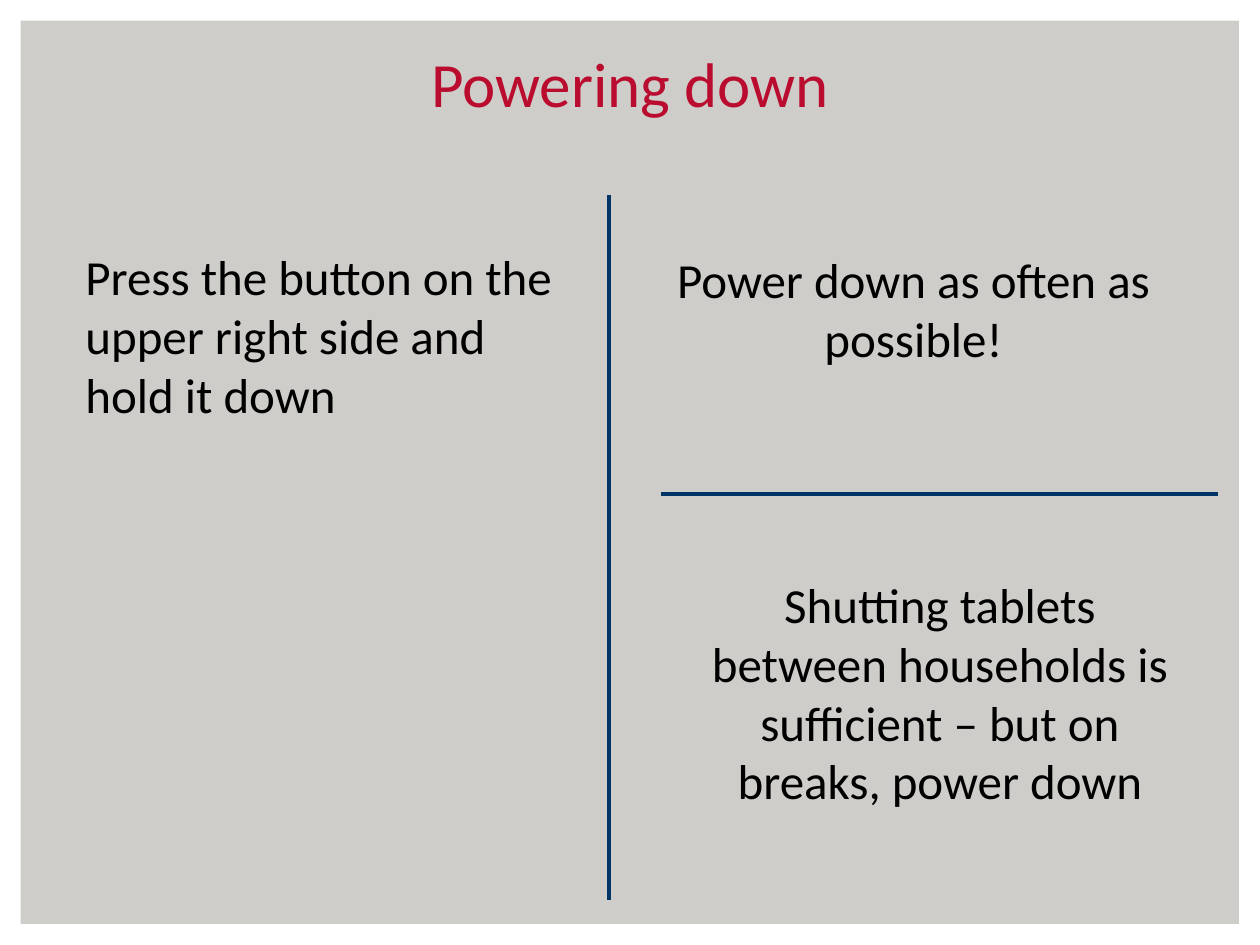
from dataclasses import dataclass

from lxml.etree import SubElement
from pptx import Presentation
from pptx.dml.color import RGBColor
from pptx.enum.shapes import MSO_CONNECTOR, MSO_SHAPE
from pptx.enum.text import MSO_ANCHOR, PP_ALIGN
from pptx.oxml.ns import qn
from pptx.util import Inches, Pt


@dataclass(frozen=True)
class Theme:
    font: str = "Calibri"
    background: RGBColor = RGBColor(0xCF, 0xCD, 0xC9)
    border: RGBColor = RGBColor(0xFF, 0xFF, 0xFF)
    title: RGBColor = RGBColor(0xBA, 0x0C, 0x2F)
    body: RGBColor = RGBColor(0x00, 0x00, 0x00)
    divider: RGBColor = RGBColor(0x00, 0x33, 0x66)
    title_size: Pt = Pt(36)
    body_size: Pt = Pt(28)
    divider_width: Pt = Pt(2.25)


class SlideBuilder:
    """Draws themed elements on the current slide."""

    def __init__(self, presentation, theme):
        self.theme = theme
        self.slide = presentation.slides.add_slide(presentation.slide_layouts[6])
        fill = self.slide.background.fill
        fill.solid()
        fill.fore_color.rgb = theme.background

    def frame(self, width, height, thickness):
        shape = self.slide.shapes.add_shape(MSO_SHAPE.FRAME, 0, 0, width, height)
        shape.adjustments[0] = thickness
        shape.shadow.inherit = False
        shape.fill.solid()
        shape.fill.fore_color.rgb = self.theme.border
        shape.line.fill.background()

    def text(self, text, box, size, color, align=PP_ALIGN.CENTER, anchor=MSO_ANCHOR.TOP):
        shape = self.slide.shapes.add_textbox(*map(Inches, box))
        text_frame = shape.text_frame
        text_frame.word_wrap = True
        text_frame.vertical_anchor = anchor
        paragraph = text_frame.paragraphs[0]
        paragraph.text = text
        paragraph.alignment = align
        font = paragraph.runs[0].font
        for name, value in {"name": self.theme.font, "size": size}.items():
            setattr(font, name, value)
        font.color.rgb = color

    def title(self, text, box):
        self.text(text, box, self.theme.title_size, self.theme.title, anchor=MSO_ANCHOR.BOTTOM)

    def body(self, text, box, align=PP_ALIGN.CENTER):
        self.text(text, box, self.theme.body_size, self.theme.body, align)

    def divider(self, start, end):
        connector = self.slide.shapes.add_connector(
            MSO_CONNECTOR.STRAIGHT, *map(Inches, start + end)
        )
        connector.line.color.rgb = self.theme.divider
        connector.line.width = self.theme.divider_width
        SubElement(connector.element.spPr, qn("a:effectLst"))


def main():
    presentation = Presentation()
    presentation.slide_width = Inches(10)
    presentation.slide_height = Inches(7.5)

    builder = SlideBuilder(presentation, Theme())
    builder.frame(presentation.slide_width, presentation.slide_height, 0.022)
    builder.title("Powering down", (0.75, 0.33, 8.5, 0.67))
    builder.body("Power down as often as possible!", (5.25, 1.93, 4, 1.04))
    builder.divider((4.83, 1.55), (4.83, 7.14))
    builder.divider((9.67, 3.92), (5.25, 3.92))
    builder.body(
        "Shutting tablets between households is sufficient – but on breaks, power down",
        (5.46, 4.51, 4, 1.99),
    )
    builder.body(
        "Press the button on the upper right side and hold it down",
        (0.58, 1.91, 4, 1.51),
        PP_ALIGN.LEFT,
    )
    presentation.save("out.pptx")


if __name__ == "__main__":
    main()
